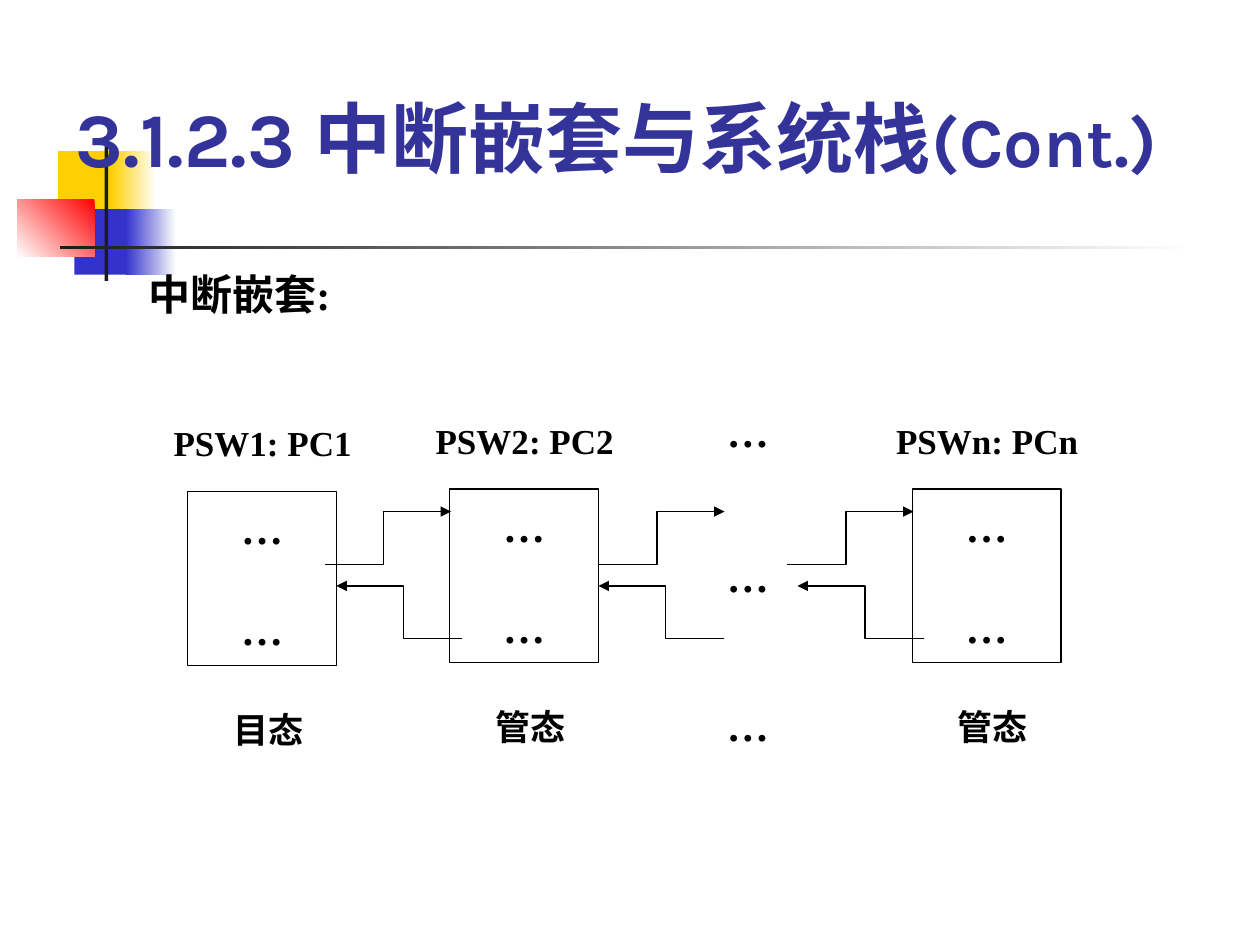
from dataclasses import dataclass

from lxml import etree
from pptx import Presentation
from pptx.dml.color import RGBColor as RGB
from pptx.enum.shapes import MSO_SHAPE as SHAPE
from pptx.enum.text import MSO_ANCHOR as ANCHOR, MSO_AUTO_SIZE as AUTO, PP_ALIGN as ALIGN
from pptx.oxml.ns import qn
from pptx.util import Inches, Pt


@dataclass(frozen=True)
class Theme:
    title: str = "333399"
    ink: str = "000000"
    paper: str = "FFFFFF"
    yellow: str = "FFCF01"
    blue: str = "3333CC"
    red: str = "FF0000"
    rule: str = "1C1C1C"
    title_font: str = "Karla"
    body_font: str = "Times New Roman"
    title_size: int = 44
    suffix_size: int = 40
    body_size: int = 24
    label_size: int = 20
    line: float = 0.75


def write(p, text, *, font, size, color, bold=True, align=ALIGN.LEFT, before=0):
    """Add a formatted run to a paragraph."""
    p.alignment = align
    p.space_before = Pt(before)
    r = p.add_run()
    r.text = text
    r.font.name, r.font.size, r.font.bold = font, Pt(size), bold
    r.font.color.rgb = RGB.from_string(color)


class Builder:
    def __init__(self, prs, theme):
        self.theme = theme
        self.s = prs.slides.add_slide(prs.slide_layouts[5])

    def rect(self, x, y, w, h, color):
        sp = self.s.shapes.add_shape(SHAPE.RECTANGLE, *map(Inches, (x, y, w, h)))
        sp.shadow.inherit = False
        sp.fill.solid()
        sp.fill.fore_color.rgb = RGB.from_string(color)
        sp.line.fill.background()
        return sp

    def fade(self, x, y, w, h, start, end, angle=180):
        fill = self.rect(x, y, w, h, start).fill
        fill.gradient()
        fill.gradient_angle = angle
        for stop, color in zip(fill.gradient_stops, (start, end)):
            stop.color.rgb = RGB.from_string(color)

    def title(self, text, suffix):
        t = self.theme
        sp = self.s.shapes.title
        sp.left, sp.top, sp.width, sp.height = map(Inches, (0.5, 0.5, 9.17, 1))
        tf = sp.text_frame
        tf.auto_size, tf.vertical_anchor, tf.word_wrap = AUTO.NONE, ANCHOR.BOTTOM, True
        for part, size in ((text, t.title_size), (suffix, t.suffix_size)):
            write(tf.paragraphs[0], part, font=t.title_font, size=size, color=t.title)
        self.s.shapes._spTree.append(sp._element)  # in front of the ornament

    def text(self, x, y, w, h, text, size, align=ALIGN.LEFT):
        t = self.theme
        tf = self.s.shapes.add_textbox(*map(Inches, (x, y, w, h))).text_frame
        tf.word_wrap = True
        write(tf.paragraphs[0], text, font=t.body_font, size=size, color=t.ink, align=align)

    def program(self, x, y, psw, state):
        """Program box with its PSW above and its processor state below."""
        t = self.theme
        sp = self.rect(x, y, 1.18, 1.38, t.paper)
        sp.line.color.rgb = RGB.from_string(t.ink)
        sp.line.width = Pt(t.line)
        tf = sp.text_frame
        tf.word_wrap, tf.vertical_anchor = False, ANCHOR.MIDDLE
        for p, before in ((tf.paragraphs[0], 0), (tf.add_paragraph(), 29)):
            write(p, "…", font=t.body_font, size=t.body_size, color=t.ink,
                  align=ALIGN.CENTER, before=before)
        self.text(x + 0.18, y + 1.67, 0.92, 0.44, state, t.label_size, ALIGN.CENTER)
        self.text(x - 0.24, y - 0.6, 1.67, 0.44, psw, t.label_size, ALIGN.CENTER)

    def step_arrow(self, x, y, direction):
        """Stepped arrow, one inch long, rising to the right (1) or left (-1)."""
        t = self.theme
        mid, end, top = x + 0.465 * direction, x + direction, y - 0.42
        points = [(Inches(a), Inches(b)) for a, b in ((mid, y), (mid, top), (end, top))]
        path = self.s.shapes.build_freeform(Inches(x), Inches(y))
        path.add_line_segments(points, close=False)
        sp = path.convert_to_shape()
        sp.shadow.inherit = False
        sp.fill.background()
        sp.line.color.rgb = RGB.from_string(t.ink)
        sp.line.width = Pt(t.line)
        etree.SubElement(sp.line._get_or_add_ln(), qn("a:tailEnd"), type="triangle")


def main():
    prs = Presentation()
    prs.slide_width, prs.slide_height = Inches(10), Inches(7.5)
    t = Theme()
    b = Builder(prs, t)

    # Corner ornament and title rule
    b.rect(0.46, 1.2, 0.48, 0.52, t.yellow)
    b.fade(0.88, 1.2, 0.36, 0.52, t.paper, t.yellow)
    b.rect(0.59, 1.66, 0.46, 0.52, t.blue)
    b.fade(1, 1.66, 0.4, 0.52, t.paper, t.blue)
    b.fade(0.14, 1.58, 0.61, 0.46, t.red, t.paper, angle=225)
    b.rect(0.83, 1.08, 0.03, 1.15, t.rule)
    b.fade(0.48, 1.95, 9, 0.03, t.paper, t.rule)

    # Title and heading
    b.title("3.1.2.3 中断嵌套与系统栈", "(Cont.)")
    b.text(1.08, 2.08, 5.92, 0.5, "中断嵌套:", t.body_size)

    # Nested programs
    for x, y, psw, state in (
        (1.49, 3.9, "PSW1: PC1", "目态"),
        (3.57, 3.88, "PSW2: PC2", "管态"),
        (7.24, 3.88, "PSWn: PCn", "管态"),
    ):
        b.program(x, y, psw, state)

    # Omitted programs
    for y in (3.17, 4.32, 5.5):
        b.text(5.67, y, 0.67, 0.5, "…", t.body_size)

    # Interrupts to the right, returns to the left
    for x in (2.58, 4.75, 6.25):
        b.step_arrow(x, 4.48, 1)
    for x in (3.67, 5.75, 7.33):
        b.step_arrow(x, 5.07, -1)

    prs.save("out.pptx")


if __name__ == "__main__":
    main()
